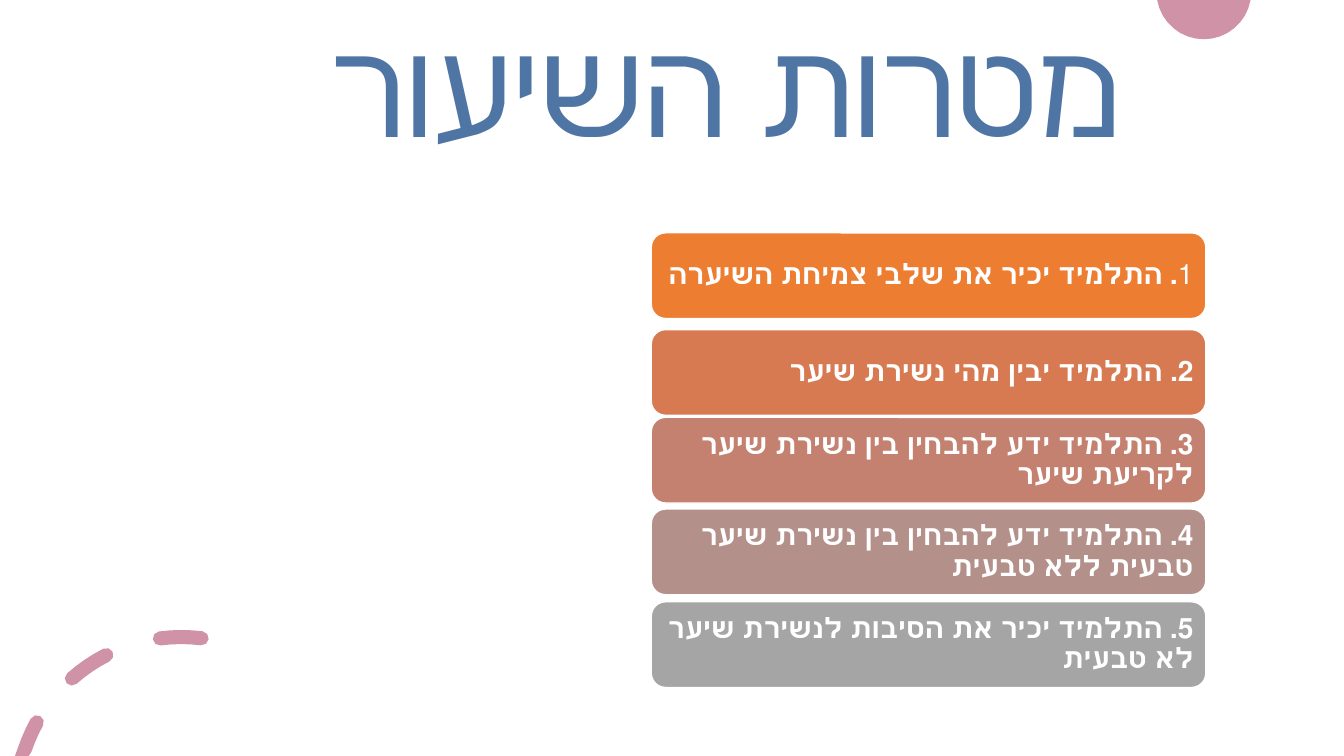
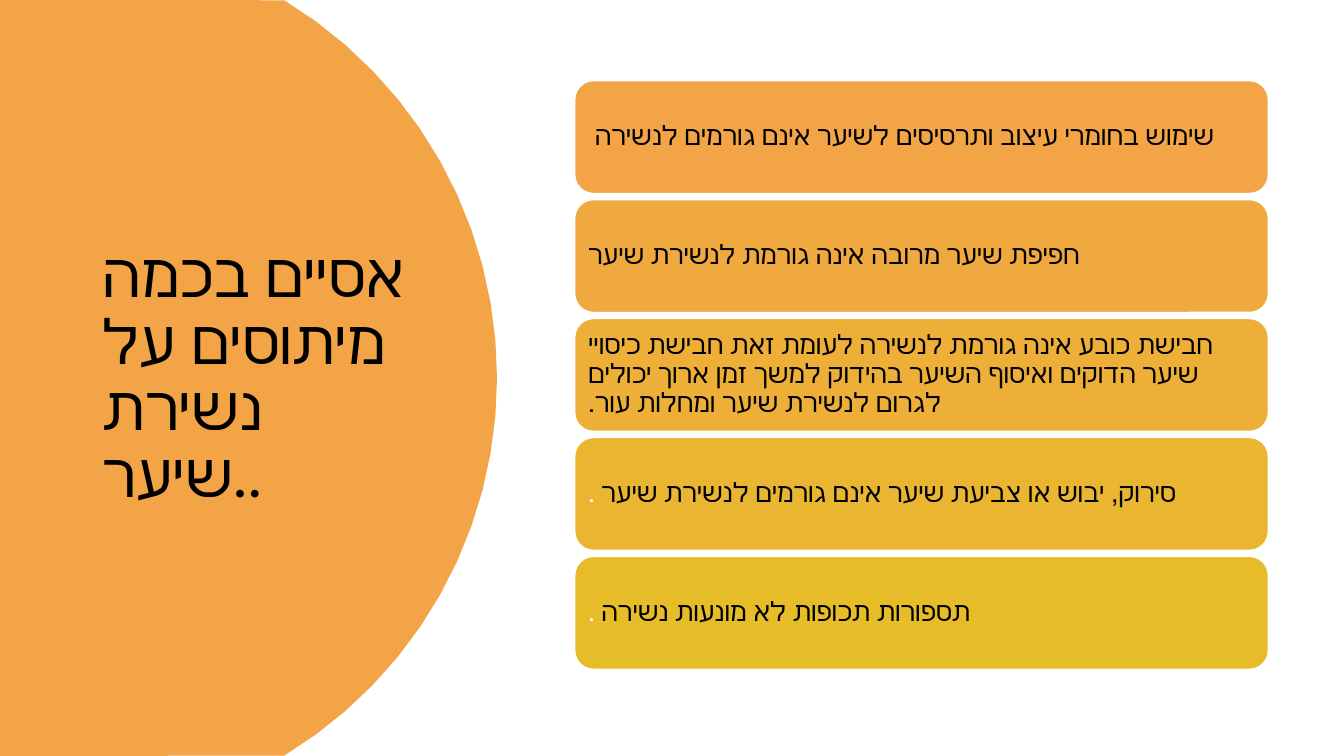
from math import cos, radians, sin

from pptx import Presentation
from pptx.dml.color import RGBColor
from pptx.enum.shapes import MSO_SHAPE as SHAPE
from pptx.enum.text import MSO_ANCHOR as ANCHOR, MSO_AUTO_SIZE as AUTO, PP_ALIGN as ALIGN
from pptx.util import Inches, Pt

# Palette
WHITE = RGBColor(0xFF, 0xFF, 0xFF)
BLACK = RGBColor(0x00, 0x00, 0x00)
PINK = RGBColor(0xD0, 0x92, 0xA7)
BLUE = RGBColor(0x4E, 0x75, 0xA3)
ORANGE = RGBColor(0xF3, 0xA4, 0x47)
GOAL_FILLS = [RGBColor(0xED, 0x7D, 0x31), RGBColor(0xD8, 0x7A, 0x51),
              RGBColor(0xC4, 0x81, 0x70), RGBColor(0xB4, 0x90, 0x8B),
              RGBColor(0xA5, 0xA5, 0xA5)]
MYTH_FILLS = [ORANGE, RGBColor(0xF0, 0xA9, 0x3F), RGBColor(0xED, 0xAF, 0x38),
              RGBColor(0xEA, 0xB5, 0x30), RGBColor(0xE7, 0xBC, 0x29)]

SLIDE_W, SLIDE_H = 13.33, 7.5


def add_text(p, text, font="Calibri", size=20, color=WHITE, bold=False):
    """Add one formatted run to a paragraph."""
    r = p.add_run()
    r.text = text
    r.font.name, r.font.size, r.font.bold = font, Pt(size), bold
    r.font.color.rgb = color


def arc(cx, cy, radius, start, end, steps=4):
    """Points on a circle; angles in degrees, counterclockwise from the right."""
    angles = [radians(start + (end - start) * i / steps) for i in range(steps + 1)]
    return [(cx + radius * cos(a), cy - radius * sin(a)) for a in angles]


def dash(start, end, cx=1.8, cy=7.96, radius=1.64, half=0.07):
    """Outline of one round-ended piece of a dashed ring."""
    (x0, y0), (x1, y1) = (arc(cx, cy, radius, a, a, 1)[0] for a in (start, end))
    return (arc(cx, cy, radius + half, start, end)
            + arc(x1, y1, half, end, end + 180)
            + arc(cx, cy, radius - half, end, start)
            + arc(x0, y0, half, start + 180, start + 360))


class Deck:
    def __init__(self):
        self.prs = Presentation()
        self.prs.slide_width, self.prs.slide_height = Inches(SLIDE_W), Inches(SLIDE_H)
        self.s = None

    def new_slide(self):
        self.s = self.prs.slides.add_slide(self.prs.slide_layouts[5])

    def title(self, text, x, y, w, h, bottom=0.05, **fmt):
        sp = self.s.shapes.title
        # Bring the title in front of what is already drawn
        sp._element.getparent().append(sp._element)
        sp.left, sp.top, sp.width, sp.height = map(Inches, (x, y, w, h))
        tf = sp.text_frame
        tf.auto_size, tf.word_wrap = AUTO.NONE, True
        tf.vertical_anchor, tf.margin_bottom = ANCHOR.MIDDLE, Inches(bottom)
        p = tf.paragraphs[0]
        p.alignment, p.line_spacing = ALIGN.LEFT, 0.9
        add_text(p, text, font="Lato", **fmt)

    def outline(self, contours, fill):
        """One filled shape of closed contours, cut off at the bottom edge."""
        builder = None
        for contour in contours:
            pts = [(Inches(x), Inches(min(y, SLIDE_H))) for x, y in contour]
            if builder is None:
                builder = self.s.shapes.build_freeform(*pts[0], scale=1.0)
            else:
                builder.move_to(*pts[0])
            builder.add_line_segments(pts[1:], close=True)
        sp = builder.convert_to_shape()
        sp.shadow.inherit = False
        sp.fill.solid()
        sp.fill.fore_color.rgb = fill
        sp.line.fill.background()

    def decoration(self):
        self.outline([arc(11.94, -0.08, 0.47, 190, 350, 16)], PINK)
        self.outline([dash(151, 165), dash(117, 131.5), dash(83, 97.5)], PINK)

    def side_disc(self):
        """Large disc bleeding off the left edge."""
        rim = arc(0.55, 3.75, 4.38, 58.8, -58.8, 24)
        self.outline([[(0, 0)] + rim + [(0, SLIDE_H)]], ORANGE)

    def card(self, runs, x, y, w, h, fill, align):
        """Rounded card with right-to-left text; runs are (text, format) pairs."""
        sp = self.s.shapes.add_shape(SHAPE.ROUNDED_RECTANGLE, *map(Inches, (x, y, w, h)))
        sp.shadow.inherit = False
        sp.fill.solid()
        sp.fill.fore_color.rgb = fill
        sp.line.color.rgb, sp.line.width = WHITE, Pt(1)
        tf = sp.text_frame
        tf.word_wrap, tf.vertical_anchor = True, ANCHOR.MIDDLE
        tf.margin_left = tf.margin_right = tf.margin_top = tf.margin_bottom = Inches(0.08)
        p = tf.paragraphs[0]
        p.alignment, p.line_spacing = align, 0.9
        p._p.get_or_add_pPr().set("rtl", "1")
        for text, fmt in runs:
            add_text(p, text, **fmt)


def goals_slide(d):
    d.new_slide()
    d.decoration()
    d.title("מטרות השיעור", 3.19, 0.67, 8.51, 1.26, bottom=0.78, size=96, color=BLUE)
    bold = {"bold": True}
    goals = [
        [("1", {}), (". התלמיד יכיר את שלבי צמיחת השיערה", bold)],
        [("2. התלמיד יבין מהי נשירת שיער", bold)],
        [("3. התלמיד ידע להבחין בין נשירת שיער לקריעת שיער", bold)],
        [("4. התלמיד ידע להבחין בין נשירת שיער טבעית ללא טבעית", bold)],
        [("5. התלמיד יכיר את הסיבות לנשירת שיער לא טבעית", bold)],
    ]
    tops = [2.31, 3.27, 4.14, 5.05, 5.97]
    for runs, y, fill in zip(goals, tops, GOAL_FILLS):
        d.card(runs, 6.46, y, 5.5, 0.85, fill, ALIGN.RIGHT)


def myths_slide(d):
    d.new_slide()
    d.side_disc()
    d.title("אסיים בכמה מיתוסים על נשירת שיער..", 0.92, 0.7, 3.23, 6.09,
            size=44, color=BLACK)
    dark = {"font": "Roboto", "size": 19, "color": BLACK}
    white_stop = (".", {**dark, "color": WHITE})
    myths = [
        [("שימוש בחומרי עיצוב ותרסיסים לשיער אינם גורמים לנשירה ", dark)],
        [("חפיפת שיער מרובה אינה גורמת לנשירת שיער", dark)],
        [("חבישת כובע אינה גורמת לנשירה לעומת זאת חבישת כיסויי שיער הדוקים "
          "ואיסוף השיער בהידוק למשך זמן ארוך יכולים לגרום לנשירת שיער ומחלות עור.", dark)],
        [("סירוק, יבוש או צביעת שיער אינם גורמים לנשירת שיער ", dark), white_stop],
        [("תספורות תכופות לא מונעות נשירה ", dark), white_stop],
    ]
    for i, (runs, fill) in enumerate(zip(myths, MYTH_FILLS)):
        d.card(runs, 5.7, 0.8 + 1.18 * i, 6.88, 1.12, fill, ALIGN.LEFT)


def main():
    d = Deck()
    goals_slide(d)
    myths_slide(d)
    d.prs.save("out.pptx")


if __name__ == "__main__":
    main()
